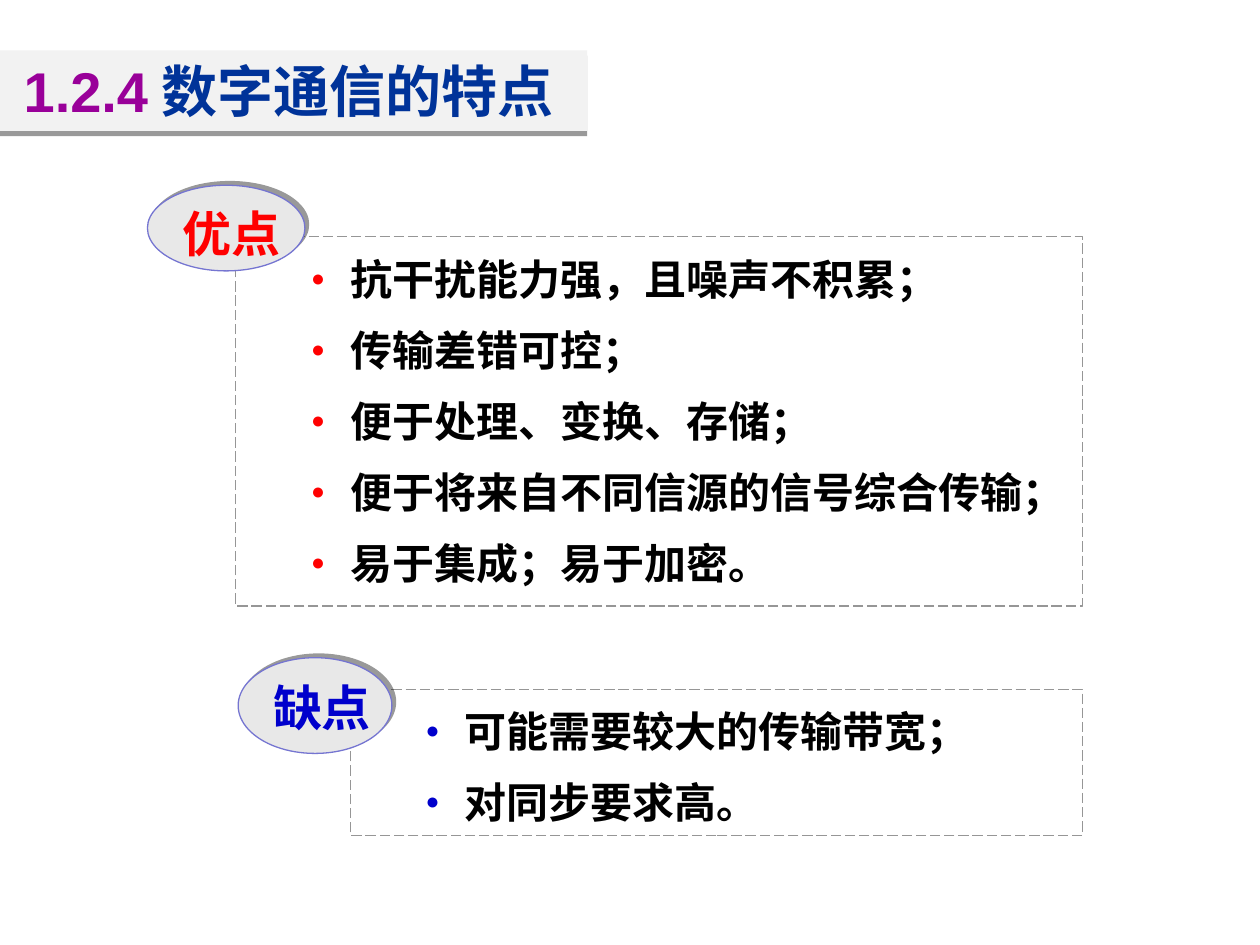
from lxml import etree
from pptx import Presentation
from pptx.dml.color import RGBColor
from pptx.enum import dml, shapes, text
from pptx.oxml import parse_xml
from pptx.oxml.ns import nsdecls, qn
from pptx.util import Inches, Pt

CJK = "Noto Sans CJK SC"
RED, BLUE, GRAY = "FF0000", "0000CC", "969696"


def add_block(kind, box, paragraphs, size, fill=None, line=None, dash=None,
              shadow_angle=None, bullet=None, wrap=True):
    """Add a shape; each paragraph is a list of (text, font, colour) runs."""
    shape = slide.shapes.add_shape(kind, *[Inches(value) for value in box])
    shape.shadow.inherit = False
    if fill:
        shape.fill.solid()
        shape.fill.fore_color.rgb = RGBColor.from_string(fill)
    else:
        shape.fill.background()
    if line:
        shape.line.color.rgb = RGBColor.from_string(line)
        shape.line.width = Pt(0.75)
        if dash:
            shape.line.dash_style = dash
    else:
        shape.line.fill.background()
    if shadow_angle is not None:
        effects = shape._element.spPr.find(qn("a:effectLst"))
        effects.append(parse_xml(
            f'<a:outerShdw {nsdecls("a")} blurRad="0" dist="{Pt(3)}" '
            f'dir="{shadow_angle * 60000}" algn="ctr" rotWithShape="0">'
            '<a:srgbClr val="000000"><a:alpha val="40000"/></a:srgbClr></a:outerShdw>'))

    frame = shape.text_frame
    frame.word_wrap = wrap
    frame.vertical_anchor = text.MSO_ANCHOR.TOP
    for index, runs in enumerate(paragraphs):
        paragraph = frame.paragraphs[0] if index == 0 else frame.add_paragraph()
        paragraph.alignment = text.PP_ALIGN.LEFT
        if bullet:
            paragraph.line_spacing = 1.2
            paragraph.space_before = Pt(6 if index else 0)
            properties = paragraph._p.get_or_add_pPr()
            properties.set("marL", str(Inches(0.81)))
            properties.set("indent", str(Inches(-0.31)))
            color = etree.SubElement(properties, qn("a:buClr"))
            etree.SubElement(color, qn("a:srgbClr"), val=bullet)
            etree.SubElement(properties, qn("a:buSzPct"), val="55000")
            etree.SubElement(properties, qn("a:buFont"), typeface="Arial")
            etree.SubElement(properties, qn("a:buChar"), char="●")
        for words, font, color in runs:
            run = paragraph.add_run()
            run.text = words
            run.font.size = Pt(size)
            run.font.bold = bool(words.strip())
            run.font.name = font
            run.font.color.rgb = RGBColor.from_string(color)
            etree.SubElement(run._r.get_or_add_rPr(), qn("a:ea"), typeface=font)


presentation = Presentation()
presentation.slide_width = Inches(10)
presentation.slide_height = Inches(7.5)
slide = presentation.slides.add_slide(presentation.slide_layouts[6])

# Each section: heading, colour, list box, heading ellipse, points
sections = [
    ("优点", RED, (1.87, 1.88, 6.72, 2.93), (1.17, 1.47, 1.25, 0.68),
     ["抗干扰能力强，且噪声不积累；", "传输差错可控；", "便于处理、变换、存储；",
      "便于将来自不同信源的信号综合传输；", "易于集成；易于加密。"]),
    ("缺点", BLUE, (2.78, 5.47, 5.81, 1.16), (1.89, 5.22, 1.22, 0.76),
     ["可能需要较大的传输带宽；", "对同步要求高。"]),
]
for heading, color, list_box, ellipse_box, points in sections:
    add_block(shapes.MSO_SHAPE.RECTANGLE, list_box,
              [[(point, CJK, "000000")] for point in points], 24,
              line=GRAY, dash=dml.MSO_LINE.LONG_DASH, bullet=color)
    add_block(shapes.MSO_SHAPE.OVAL, ellipse_box, [[(heading, CJK, color)]], 28,
              fill="E8E8E8", line="7575D1", shadow_angle=315, wrap=False)

add_block(shapes.MSO_SHAPE.RECTANGLE, (-0.01, 0.4, 4.67, 0.64),
          [[(" ", CJK, "000000"), ("1.2.4", "Arial", "990099"),
            (" 数字通信的特点", CJK, "003399")]], 32, fill="F2F2F2", shadow_angle=90)

presentation.save("out.pptx")
